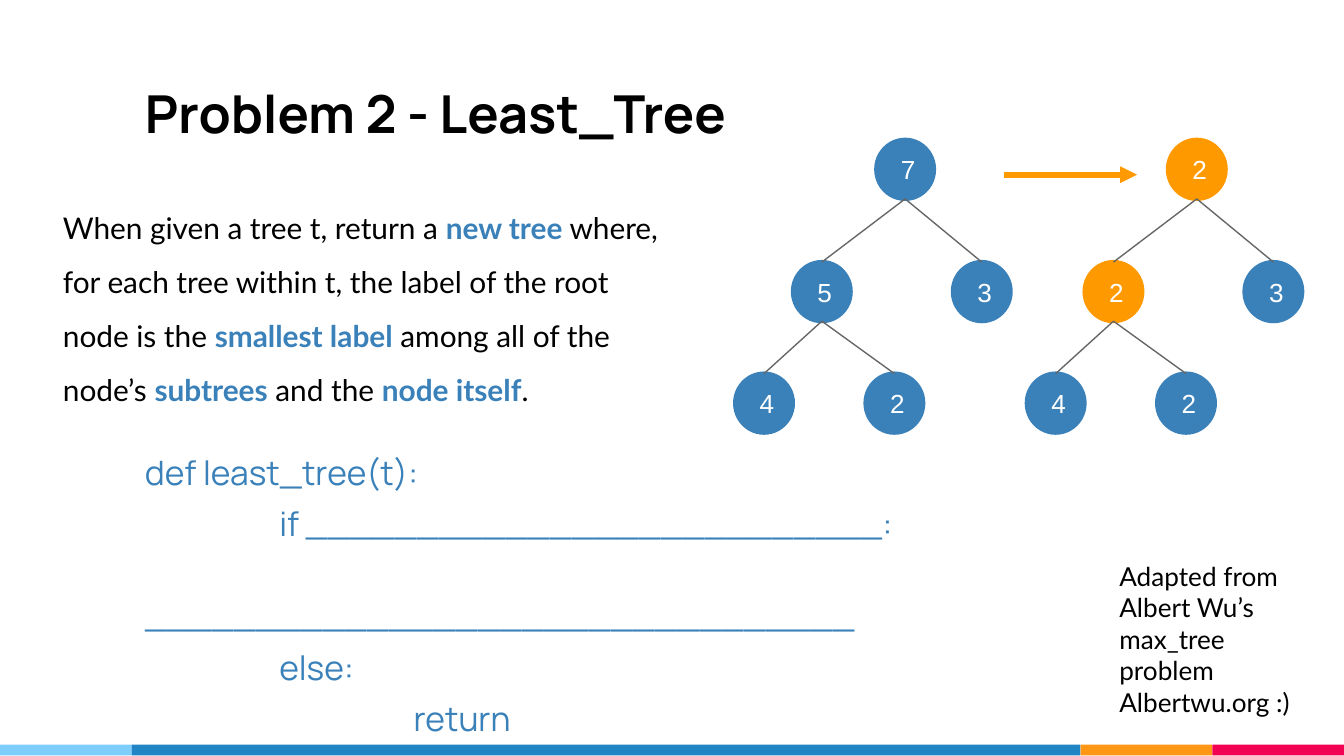
import dataclasses

import lxml.etree
import pptx
import pptx.dml.color
import pptx.enum.shapes
import pptx.enum.text
import pptx.oxml.ns
import pptx.util

Inches = pptx.util.Inches
Pt = pptx.util.Pt
Shape = pptx.enum.shapes.MSO_SHAPE
Anchor = pptx.enum.text.MSO_ANCHOR
Align = pptx.enum.text.PP_ALIGN


@dataclasses.dataclass(frozen=True)
class Theme:
    ink: str = "000000"
    paper: str = "FFFFFF"
    blue: str = "3A81BA"
    amber: str = "FF9900"
    gray: str = "666666"
    bars: tuple = ("7ECEFD", "2185C5", "FF9715", "F20253")
    head: str = "Manrope"
    body: str = "Lato"
    label: str = "Arial"
    title: int = 28
    code: int = 18
    prose: int = 16
    small: int = 14


theme = Theme()


def color(code):
    return pptx.dml.color.RGBColor.from_string(code)


def element(parent, tag, **attrs):
    child = lxml.etree.SubElement(parent, pptx.oxml.ns.qn(tag))
    for key, value in attrs.items():
        child.set(key, str(value))
    return child


def write(shape, lines, size, font, ink=theme.ink, bold=False, accent=theme.blue,
          anchor=Anchor.TOP, left=0.1, before=0, spacing=None, tabs=()):
    frame = shape.text_frame
    frame.word_wrap = True
    frame.vertical_anchor = anchor
    frame.margin_left = Inches(left)
    frame.margin_top = frame.margin_right = frame.margin_bottom = Inches(0.1)
    for row, line in enumerate(lines):
        para = frame.add_paragraph() if row else frame.paragraphs[0]
        para.alignment = Align.LEFT
        if spacing:
            para.line_spacing = spacing
        if row and before:
            para.space_before = Pt(before)
        if tabs:
            stops = element(para._p.get_or_add_pPr(), "a:tabLst")
            for stop in tabs:
                element(stops, "a:tab", pos=Inches(stop), algn="l")
        for part, text in enumerate(line.split("*")):
            strong = part % 2 == 1
            run = para.add_run()
            run.text = text
            run.font.name = font
            run.font.size = Pt(size)
            run.font.bold = bold or strong
            run.font.color.rgb = color(accent if strong else ink)


def block(slide, box, lines, **style):
    write(slide.shapes.add_textbox(*map(Inches, box)), lines, **style)


def solid(shapes, kind, box, fill, edge=0):
    shape = shapes.add_shape(kind, *map(Inches, box))
    shape.shadow.inherit = False
    shape.fill.solid()
    shape.fill.fore_color.rgb = color(fill)
    if edge:
        shape.line.color.rgb = color(fill)
        shape.line.width = Pt(edge)
    else:
        shape.line.fill.background()
    return shape


def link(shapes, start, end, ink, width, arrow=False):
    line = shapes.add_connector(pptx.enum.shapes.MSO_CONNECTOR.STRAIGHT,
                                *map(Inches, (*start, *end)))
    line.line.color.rgb = color(ink)
    line.line.width = Pt(width)
    if arrow:
        element(line.line._get_or_add_ln(), "a:tailEnd", type="triangle")
    element(line._element.spPr, "a:effectLst")


def footer(slide, box):
    left, top, width, height = box
    side = 0.98
    for fill, span in zip(theme.bars, (side, width - 3 * side, side, side)):
        solid(slide.shapes, Shape.RECTANGLE, (left, top, span, height), fill)
        left += span


def tree(slide, box, labels, changed=()):
    left, top, width, height = box
    wide, tall = 0.43, 0.44
    low = height - tall
    spots = [(1.05, 0), (0.43, 0.91), (width - wide, 0.91), (0, low), (0.97, low)]
    spots = [(left + x, top + y) for x, y in spots]
    shapes = slide.shapes.add_group_shape().shapes
    for index, (spot, label) in enumerate(zip(spots, labels)):
        fill = theme.amber if index in changed else theme.blue
        node = solid(shapes, Shape.FLOWCHART_CONNECTOR, (*spot, wide, tall), fill, 2.25)
        write(node, [label], theme.small, theme.label, ink=theme.paper,
              anchor=Anchor.MIDDLE, left=0.12)
    for child in range(1, len(spots)):
        root, leaf = spots[(child - 1) // 2], spots[child]
        link(shapes, (root[0] + wide / 2, root[1] + tall),
             (leaf[0] + wide / 2, leaf[1]), theme.gray, 0.75)


def build(deck):
    slide = deck.slides.add_slide(deck.slide_layouts[6])
    footer(slide, (0, 5.54, 10, 0.08))
    block(slide, (0.98, 0.23, 7.07, 0.94), ["Problem 2 - Least_Tree"],
          size=theme.title, font=theme.head, bold=True, anchor=Anchor.BOTTOM)
    block(slide, (0.98, 3.26, 7.07, 2.12),
          ["def least_tree(t):",
           "\tif " + "_" * 26 + ":",
           "\t\t" + "_" * 32,
           "\telse:",
           "\t\treturn " + "_" * 39],
          size=theme.code, font=theme.head, ink=theme.blue, before=6, tabs=(1, 2))
    block(slide, (8.23, 4.07, 1.64, 1.39),
          ["Adapted from Albert Wu’s max_tree problem", "Albertwu.org :)"],
          size=theme.small, font=theme.body)
    tree(slide, (5.47, 1.04, 2.05, 2.18), "75342")
    tree(slide, (7.64, 1.04, 2.05, 2.18), "22342", changed=(0, 1))
    link(slide.shapes, (7.47, 1.3), (8.46, 1.3), theme.amber, 3, arrow=True)
    block(slide, (0.37, 1.33, 4.73, 1.89),
          ["When given a tree t, return a *new tree* where, for each tree within t, "
           "the label of the root node is the *smallest label* among all of the "
           "node’s *subtrees* and the *node itself*."],
          size=theme.prose, font=theme.body, spacing=1.5)


def main():
    deck = pptx.Presentation()
    deck.slide_width = Inches(10)
    deck.slide_height = deck.slide_width * 9 // 16
    build(deck)
    deck.save("out.pptx")


if __name__ == "__main__":
    main()
